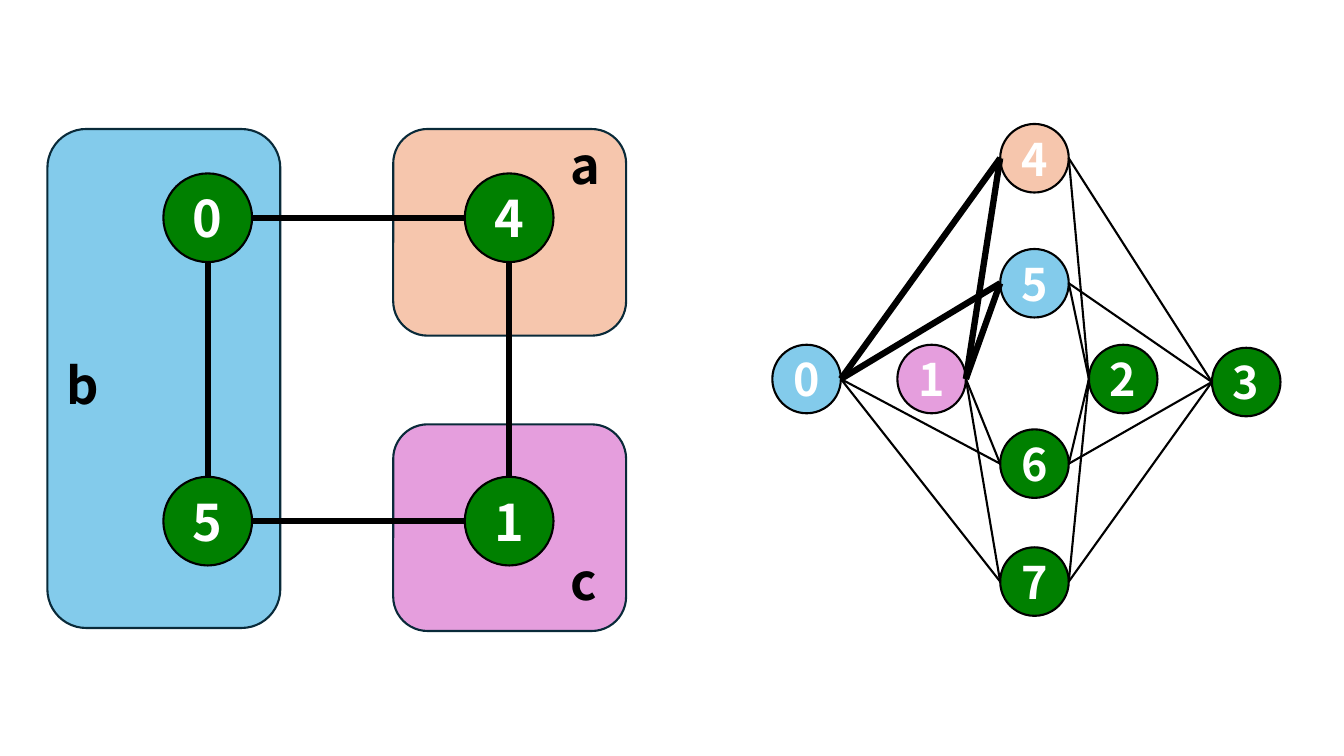
from itertools import product

from lxml import etree
from pptx import Presentation
from pptx.dml.color import RGBColor
from pptx.enum.shapes import MSO_CONNECTOR, MSO_SHAPE
from pptx.enum.text import MSO_ANCHOR, MSO_AUTO_SIZE, PP_ALIGN
from pptx.oxml.ns import qn
from pptx.util import Inches, Pt

ROUNDED = MSO_SHAPE.ROUNDED_RECTANGLE
OVAL = MSO_SHAPE.OVAL
STRAIGHT = MSO_CONNECTOR.STRAIGHT
MIDDLE = MSO_ANCHOR.MIDDLE
CENTER = PP_ALIGN.CENTER
FIT_SHAPE = MSO_AUTO_SIZE.SHAPE_TO_FIT_TEXT

FONT = "Noto Sans CJK SC"
BLACK, WHITE = "000000", "FFFFFF"
GREEN, BLUE, PEACH, PINK = "008000", "83CBEB", "F6C6AD", "E59EDD"
REGION_LINE = "092A39"
THIN, THICK = 1.5, 4.5

REGIONS = [
    (3.9, 1.28, 2.05, PEACH),
    (3.9, 4.21, 2.05, PINK),
    (0.47, 1.28, 4.95, BLUE),
]
REGION_WIDTH = 2.31
REGION_LABELS = [("b", 0.56, 3.46, 0.51), ("a", 5.56, 1.28, 0.46), ("c", 5.56, 5.41, 0.44)]

CYCLE_COLUMNS = (2.06, 5.05)
CYCLE_ROWS = (2.16, 5.17)
CYCLE_NAMES = ("0", "4", "5", "1")
CYCLE_DIAMETER = 0.88

SIDE_NODES = {
    "0": (8.0, 3.76, BLUE),
    "1": (9.24, 3.76, PINK),
    "2": (11.14, 3.76, GREEN),
    "3": (12.36, 3.79, GREEN),
}
MIDDLE_X = 10.26
MIDDLE_NODES = {
    "4": (MIDDLE_X, 1.57, PEACH),
    "5": (MIDDLE_X, 2.81, BLUE),
    "6": (MIDDLE_X, 4.6, GREEN),
    "7": (MIDDLE_X, 5.77, GREEN),
}
BIPARTITE_DIAMETER = 0.68
HIGHLIGHTED_EDGES = set(product("01", "45"))


def color(value):
    """Turn a hex string into a colour."""
    return RGBColor.from_string(value)


def write_text(shape, text, size, text_color):
    """Put one bold run of text into a shape."""
    shape.text_frame.text = text
    font = shape.text_frame.paragraphs[0].runs[0].font
    font.name, font.size, font.bold = FONT, Pt(size), True
    font.color.rgb = color(text_color)


def add_filled(group, kind, left, top, width, height, fill, line):
    """Add a filled and outlined shape."""
    shape = group.shapes.add_shape(
        kind, Inches(left), Inches(top), Inches(width), Inches(height))
    shape.shadow.inherit = False
    shape.fill.solid()
    shape.fill.fore_color.rgb = color(fill)
    shape.line.color.rgb = color(line)
    shape.line.width = Pt(THIN)
    return shape


def add_node(group, name, x, y, diameter, fill, size):
    """Add a numbered circle centred on a point."""
    radius = diameter / 2
    shape = add_filled(group, OVAL, x - radius, y - radius, diameter, diameter, fill, BLACK)
    write_text(shape, name, size, WHITE)
    frame = shape.text_frame
    frame.margin_left = frame.margin_right = frame.margin_top = frame.margin_bottom = 0
    frame.vertical_anchor = MIDDLE
    frame.paragraphs[0].alignment = CENTER


def add_edge(group, start, end, width):
    """Add a straight black line between two points."""
    points = [Inches(value) for value in (*start, *end)]
    connector = group.shapes.add_connector(STRAIGHT, *points)
    connector.line.color.rgb = color(BLACK)
    connector.line.width = Pt(width)
    properties = connector._element.find(qn("p:spPr"))
    etree.SubElement(properties, qn("a:effectLst"))


def add_label(group, text, left, top, width):
    """Add the letter of a region."""
    box = group.shapes.add_textbox(Inches(left), Inches(top), Inches(width), Inches(0.71))
    box.text_frame.word_wrap = False
    box.text_frame.auto_size = FIT_SHAPE
    write_text(box, text, 36, BLACK)


def draw_cycle(group):
    """Draw the four-node cycle over its coloured regions."""
    for left, top, height, fill in REGIONS:
        add_filled(group, ROUNDED, left, top, REGION_WIDTH, height, fill, REGION_LINE)
    for name, (y, x) in zip(CYCLE_NAMES, product(CYCLE_ROWS, CYCLE_COLUMNS)):
        add_node(group, name, x, y, CYCLE_DIAMETER, GREEN, 36)
    radius = CYCLE_DIAMETER / 2
    left, right = CYCLE_COLUMNS
    top, bottom = CYCLE_ROWS
    for y in CYCLE_ROWS:
        add_edge(group, (left + radius, y), (right - radius, y), THICK)
    for x in CYCLE_COLUMNS:
        add_edge(group, (x, top + radius), (x, bottom - radius), THICK)
    for label in REGION_LABELS:
        add_label(group, *label)


def draw_bipartite(group):
    """Draw the complete graph between side and middle nodes."""
    for name, (x, y, fill) in {**SIDE_NODES, **MIDDLE_NODES}.items():
        add_node(group, name, x, y, BIPARTITE_DIAMETER, fill, 32)
    radius = BIPARTITE_DIAMETER / 2
    for side, middle in product(SIDE_NODES, MIDDLE_NODES):
        side_x, side_y, _ = SIDE_NODES[side]
        middle_x, middle_y, _ = MIDDLE_NODES[middle]
        reach = radius if side_x < middle_x else -radius
        width = THICK if (side, middle) in HIGHLIGHTED_EDGES else THIN
        add_edge(group, (side_x + reach, side_y), (middle_x - reach, middle_y), width)


def main():
    """Build the slide and save it."""
    presentation = Presentation()
    presentation.slide_width = Inches(13.33)
    presentation.slide_height = Inches(7.5)
    slide = presentation.slides.add_slide(presentation.slide_layouts[6])
    draw_cycle(slide.shapes.add_group_shape())
    draw_bipartite(slide.shapes.add_group_shape())
    presentation.save("out.pptx")


if __name__ == "__main__":
    main()
